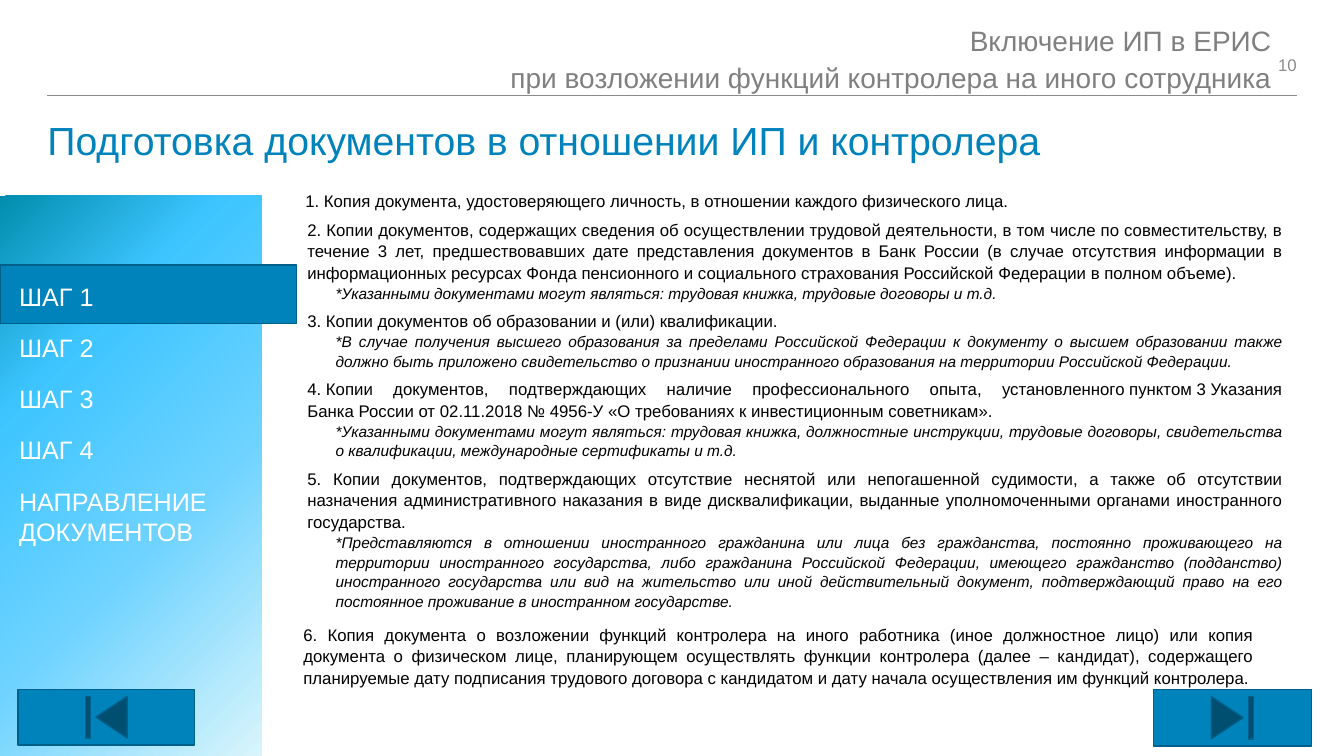
from lxml import etree
from pptx import Presentation
from pptx.dml.color import RGBColor
from pptx.enum.shapes import MSO_CONNECTOR, MSO_SHAPE
from pptx.enum.text import MSO_ANCHOR, MSO_AUTO_SIZE, PP_ALIGN
from pptx.oxml import parse_xml
from pptx.oxml.ns import qn
from pptx.util import Inches, Pt

RECTANGLE = MSO_SHAPE.RECTANGLE
TO_END, TO_START = MSO_SHAPE.ACTION_BUTTON_END, MSO_SHAPE.ACTION_BUTTON_BEGINNING
STRAIGHT = MSO_CONNECTOR.STRAIGHT
LEFT, RIGHT, JUSTIFY = PP_ALIGN.LEFT, PP_ALIGN.RIGHT, PP_ALIGN.JUSTIFY
TOP, MIDDLE = MSO_ANCHOR.TOP, MSO_ANCHOR.MIDDLE
FIXED = MSO_AUTO_SIZE.NONE

WIDTH, HEIGHT = Inches(13.33), Inches(7.5)
DRAWING_NS = "http://schemas.openxmlformats.org/drawingml/2006/main"
FONT = "Arial"
BLUE, DARK_BLUE, GREY = "0082BB", "00608A", "808080"
PANEL_STOPS = [(0, "008DAD"), (27, "3DC4FF"), (61, "6ED3FF"), (100, "D9F5FB")]

STEPS = ["ШАГ 1", "ШАГ 2", "ШАГ 3", "ШАГ 4", "НАПРАВЛЕНИЕ ДОКУМЕНТОВ"]

# Each requirement with its explanatory note; "~" stands for a no-break space
REQUIREMENTS = [
    (" Копия документа, удостоверяющего личность, в отношении каждого физического лица.", None),
    ("2. Копии документов, содержащих сведения об осуществлении трудовой деятельности, "
     "в том числе по совместительству, в течение 3 лет, предшествовавших дате представления "
     "документов в Банк России (в случае отсутствия информации в информационных ресурсах "
     "Фонда пенсионного и социального страхования Российской Федерации в полном объеме).",
     "*Указанными документами могут являться: трудовая книжка, трудовые договоры и т.д."),
    ("3. Копии документов об образовании и (или) квалификации.",
     "*В случае получения высшего образования за пределами Российской Федерации к документу "
     "о высшем образовании также должно быть приложено свидетельство о признании "
     "иностранного образования на территории Российской Федерации."),
    ("4.~Копии документов, подтверждающих наличие профессионального опыта, "
     "установленного~пунктом~3~Указания Банка~России~от~02.11.2018 № 4956-У "
     "«О требованиях к инвестиционным советникам».",
     "*Указанными документами могут являться: трудовая книжка, должностные инструкции, "
     "трудовые договоры, свидетельства о квалификации, международные сертификаты и т.д."),
    ("5. Копии документов, подтверждающих отсутствие неснятой или непогашенной судимости, "
     "а также об отсутствии назначения административного наказания в виде дисквалификации, "
     "выданные уполномоченными органами иностранного государства.",
     "*Представляются в отношении иностранного гражданина или лица без гражданства, "
     "постоянно проживающего на территории иностранного государства, либо гражданина "
     "Российской Федерации, имеющего гражданство (подданство) иностранного государства или "
     "вид на жительство или иной действительный документ, подтверждающий право на его "
     "постоянное проживание в иностранном государстве."),
]
CONTROLLER_REQUIREMENT = (
    "6. Копия документа о возложении функций контролера на иного работника (иное должностное "
    "лицо) или копия документа о физическом лице, планирующем осуществлять функции контролера "
    "(далее – кандидат), содержащего планируемые дату подписания трудового договора с "
    "кандидатом и дату начала осуществления им функций контролера.")


def color(hex_value):
    return RGBColor.from_string(hex_value)


def across(percent):
    return round(WIDTH * percent / 100)


def down(percent):
    return round(HEIGHT * percent / 100)


def area(left, top, width, height):
    """Turn shares of the slide, in percent, into lengths."""
    return across(left), down(top), across(width), down(height)


def add_block(slide, kind, place, fill=None, line=None):
    block = slide.shapes.add_shape(kind, *area(*place))
    block.shadow.inherit = False
    if fill:
        block.fill.solid()
        block.fill.fore_color.rgb = color(fill)
    if line:
        block.line.color.rgb = color(line)
        block.line.width = Pt(1)
    else:
        block.line.fill.background()
    return block


def fill_diagonally(block, stops):
    block.fill.gradient()
    block.fill.gradient_angle = 315
    stop_list = block.fill._xPr.find(qn("a:gradFill")).find(qn("a:gsLst"))
    for old_stop in list(stop_list):
        stop_list.remove(old_stop)
    for percent, hex_value in stops:
        stop_list.append(parse_xml(
            f'<a:gs xmlns:a="{DRAWING_NS}" pos="{percent * 1000}">'
            f'<a:srgbClr val="{hex_value}"/></a:gs>'))


def add_rule(slide, left, right, top):
    rule = slide.shapes.add_connector(
        STRAIGHT, across(left), down(top), across(right), down(top))
    rule.line.color.rgb = color("888A8D")
    rule.line.width = Pt(0.5)
    etree.SubElement(rule._element.spPr, qn("a:effectLst"))


def prepare_frame(frame, margins=True, anchor=TOP):
    frame.word_wrap = True
    frame.auto_size = FIXED
    frame.vertical_anchor = anchor
    if not margins:
        frame.margin_left = frame.margin_right = 0
        frame.margin_top = frame.margin_bottom = 0
    return frame


def add_frame(slide, place, **options):
    return prepare_frame(slide.shapes.add_textbox(*area(*place)).text_frame, **options)


def write(frame, text, size, hex_value, align=LEFT, spacing=1.0, before=0, after=0,
          margin=0, hang=0, numbered=False, italic=False):
    """Fill the first free paragraph of the frame."""
    paragraph = frame.paragraphs[-1]
    if paragraph.runs:
        paragraph = frame.add_paragraph()
    paragraph.text = text.replace("~", chr(160))
    properties = paragraph._p.get_or_add_pPr()
    properties.set("marL", str(Inches(margin)))
    properties.set("indent", str(Inches(hang)))
    if numbered:
        etree.SubElement(properties, qn("a:buFont")).set("typeface", "+mj-lt")
        etree.SubElement(properties, qn("a:buAutoNum")).set("type", "arabicPeriod")
    paragraph.alignment = align
    paragraph.line_spacing = spacing
    paragraph.space_before, paragraph.space_after = Pt(before), Pt(after)
    for run in paragraph.runs:
        run.font.name, run.font.size = FONT, Pt(size)
        run.font.bold, run.font.italic = False, italic
        run.font.color.rgb = color(hex_value)


def write_item(frame, text, **options):
    write(frame, text, 12, "000000", JUSTIFY, 1.07, margin=0.12, **options)


def write_note(frame, text):
    write(frame, text, 11, "000000", JUSTIFY, 1.07, margin=0.4, italic=True)


def main():
    deck = Presentation()
    deck.slide_width, deck.slide_height = WIDTH, HEIGHT
    slide = deck.slides.add_slide(deck.slide_layouts[5])

    # Title and page header
    title = slide.shapes.title
    title.left, title.top, title.width, title.height = area(3.53, 16.13, 92.95, 8.8)
    write(prepare_frame(title.text_frame, margins=False),
          "Подготовка документов в отношении ИП и контролера", 28, BLUE, spacing=0.9)
    add_rule(slide, 3.53, 96.47, 12.67)
    page_number = add_frame(slide, (90.4, 6.27, 6.08, 4.67), margins=False, anchor=MIDDLE)
    write(page_number, "10", 12, "8C8C8C", RIGHT)
    header = add_frame(slide, (1.65, 2.67, 92.95, 8.8), margins=False)
    write(header, "Включение ИП в ЕРИС\vпри возложении функций контролера на иного сотрудника",
          20, GREY, RIGHT, 1.1)

    # Side panel with the steps
    panel = add_block(slide, RECTANGLE, (0, 25.87, 19.5, 74.13))
    fill_diagonally(panel, PANEL_STOPS)
    add_block(slide, RECTANGLE, (0, 35.07, 22.06, 7.73), BLUE, DARK_BLUE)
    menu = add_frame(slide, (0.68, 36.53, 18.9, 36.8))
    for step in STEPS:
        write(menu, step, 18, "FFFFFF", after=15)

    # Required documents
    documents = add_frame(slide, (21.23, 24.4, 75.02, 62.27))
    for index, (requirement, note) in enumerate(REQUIREMENTS):
        first = index == 0
        write_item(documents, requirement, numbered=first,
                   hang=-0.02 if first else 0, before=0 if first else 5)
        if note:
            write_note(documents, note)
    controller = add_frame(slide, (20.93, 81.73, 73.14, 10))
    write_item(controller, CONTROLLER_REQUIREMENT)

    # Navigation buttons
    add_block(slide, TO_END, (85.82, 91.2, 11.78, 7.47), BLUE, DARK_BLUE)
    add_block(slide, TO_START, (1.35, 91.2, 13.13, 7.33), BLUE, DARK_BLUE)

    deck.save("out.pptx")


if __name__ == "__main__":
    main()
